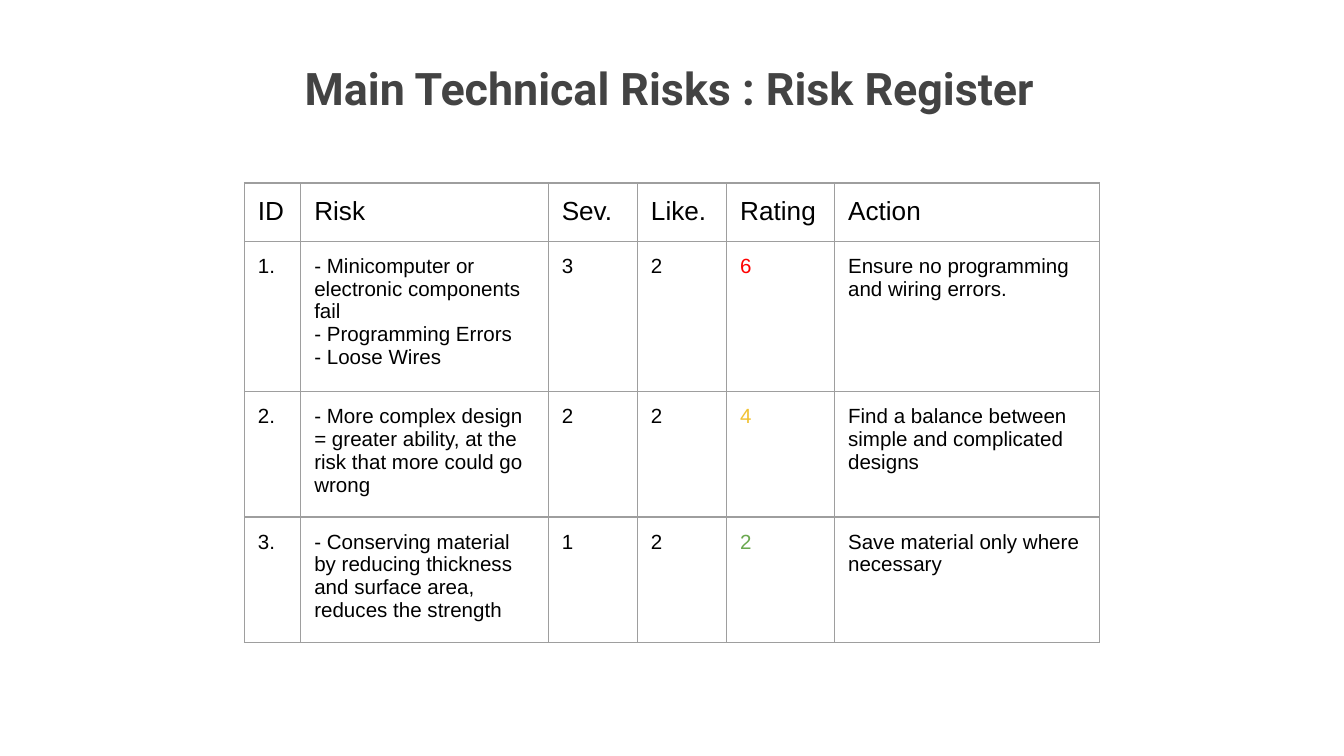
from lxml.etree import SubElement
from pptx import Presentation
from pptx.dml.color import RGBColor
from pptx.enum.text import MSO_ANCHOR, PP_ALIGN
from pptx.oxml.ns import qn
from pptx.util import Pt

COLORS = {
    "title": "434343",
    "text": "000000",
    "border": "9E9E9E",
    "high": "FF0000",
    "medium": "F1C232",
    "low": "6AA84F",
}
INSET = 7.2
ROW_HEIGHT = 30.2
COLUMN_WIDTHS = [30.2, 132.6, 47.8, 47.8, 57.8, 141.8]
RATING_COLUMN = 4
RATING_LEVELS = {"6": "high", "4": "medium", "2": "low"}
RISKS = [
    ["ID", "Risk", "Sev.", "Like.", "Rating", "Action"],
    ["1.", "- Minicomputer or electronic components fail\n- Programming Errors\n- Loose Wires",
     "3", "2", "6", "Ensure no programming and wiring errors."],
    ["2.", "- More complex design = greater ability, at the risk that more could go wrong",
     "2", "2", "4", "Find a balance between simple and complicated designs"],
    ["3.", "- Conserving material by reducing thickness and surface area, reduces the strength",
     "1", "2", "2", "Save material only where necessary"],
]


def set_insets(target):
    target.margin_left = target.margin_right = Pt(INSET)
    target.margin_top = target.margin_bottom = Pt(INSET)


def format_runs(text_frame, font_name, size, color, bold=False):
    for paragraph in text_frame.paragraphs:
        for run in paragraph.runs:
            run.font.name = font_name
            run.font.size = Pt(size)
            run.font.bold = bold
            run.font.color.rgb = RGBColor.from_string(COLORS[color])


def add_borders(cell):
    properties = cell._tc.get_or_add_tcPr()
    for side in ("a:lnL", "a:lnR", "a:lnT", "a:lnB"):
        line = SubElement(properties, qn(side), w=str(Pt(0.75)))
        fill = SubElement(line, qn("a:solidFill"))
        SubElement(fill, qn("a:srgbClr"), val=COLORS["border"])


def add_title(slide, left, top, width, height):
    text_box = slide.shapes.add_textbox(Pt(left), Pt(top), Pt(width), Pt(height))
    text_frame = text_box.text_frame
    text_frame.word_wrap = True
    text_frame.vertical_anchor = MSO_ANCHOR.TOP
    set_insets(text_frame)
    text_frame.text = "Main Technical Risks : Risk Register"
    text_frame.paragraphs[0].alignment = PP_ALIGN.CENTER
    format_runs(text_frame, "Roboto", 24, "title", bold=True)


def add_risk_table(slide, left, top):
    table = slide.shapes.add_table(
        len(RISKS), len(COLUMN_WIDTHS), Pt(left), Pt(top),
        Pt(sum(COLUMN_WIDTHS)), Pt(ROW_HEIGHT * len(RISKS))).table
    table.first_row = False
    table.horz_banding = False
    for column, width in zip(table.columns, COLUMN_WIDTHS):
        column.width = Pt(width)
    for row_index, values in enumerate(RISKS):
        table.rows[row_index].height = Pt(ROW_HEIGHT)
        is_header = row_index == 0
        for column_index, value in enumerate(values):
            cell = table.cell(row_index, column_index)
            set_insets(cell)
            add_borders(cell)
            cell.fill.background()
            cell.text_frame.text = value
            is_rating = column_index == RATING_COLUMN and not is_header
            color = RATING_LEVELS[value] if is_rating else "text"
            format_runs(cell.text_frame, "Arial", 14 if is_header else 11, color)


def main():
    presentation = Presentation()
    presentation.slide_width = Pt(720)
    presentation.slide_height = Pt(405)
    slide = presentation.slides.add_slide(presentation.slide_layouts[6])
    add_title(slide, 136, 25.2, 445, 38.2)
    add_risk_table(slide, 131, 98)
    presentation.save("out.pptx")


if __name__ == "__main__":
    main()
